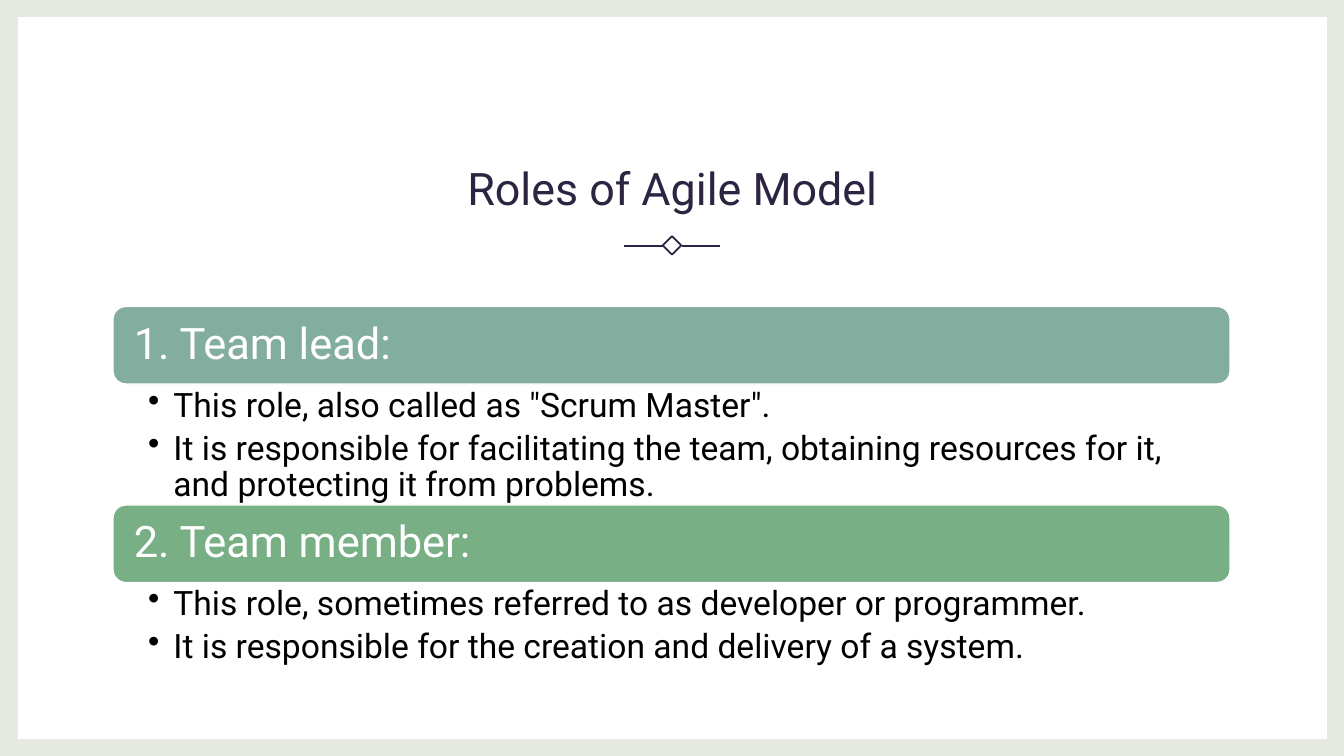
from dataclasses import dataclass

from lxml.etree import SubElement
from pptx import Presentation
from pptx.dml.color import RGBColor
from pptx.enum.shapes import MSO_CONNECTOR, MSO_SHAPE
from pptx.enum.text import MSO_ANCHOR, PP_ALIGN
from pptx.oxml.ns import qn
from pptx.util import Inches, Pt


@dataclass(frozen=True)
class Theme:
    font: str = "Roboto"
    frame: str = "E6E8E2"
    paper: str = "FFFFFF"
    ink: str = "2D2441"
    body: str = "000000"
    lead: str = "83AD9E"
    member: str = "78AF85"
    title_size: float = 32
    header_size: float = 31
    body_size: float = 24
    rule_width: float = 1.25


THEME = Theme()


@dataclass(frozen=True)
class Role:
    header: str
    color: str
    top: float
    details_height: float
    details: tuple[str, ...]


ROLES = (
    Role("1. Team lead:", THEME.lead, 3.04, 1.19, (
        'This role, also called as "Scrum Master".',
        "It is responsible for facilitating the team, obtaining resources for it, "
        "and protecting it from problems.",
    )),
    Role("2. Team member:", THEME.member, 5.01, 0.84, (
        "This role, sometimes referred to as developer or programmer.",
        "It is responsible for the creation and delivery of a system.",
    )),
)
SLIDE_WIDTH, SLIDE_HEIGHT = 13.33, 7.5
ROLE_LEFT, ROLE_WIDTH, HEADER_HEIGHT = 1.12, 11.08, 0.77


def add_bullet(paragraph) -> None:
    """Give a paragraph a round bullet with a hanging indent."""
    properties = paragraph._p.get_or_add_pPr()
    properties.set("marL", str(Inches(0.25)))
    properties.set("indent", str(Inches(-0.25)))
    SubElement(properties, qn("a:buChar")).set("char", "•")


def write_text(shape, *lines: str, size: float, color: str,
               insets=(0.1, 0.05, 0.1, 0.05), anchor=MSO_ANCHOR.TOP,
               align=PP_ALIGN.LEFT, line_spacing: float = 0.9,
               space_after: float = 0, bullets: bool = False) -> None:
    frame = shape.text_frame
    frame.word_wrap = True
    frame.vertical_anchor = anchor
    (frame.margin_left, frame.margin_top,
     frame.margin_right, frame.margin_bottom) = map(Inches, insets)
    for index, line in enumerate(lines):
        paragraph = frame.add_paragraph() if index else frame.paragraphs[0]
        paragraph.alignment = align
        paragraph.line_spacing = line_spacing
        paragraph.space_after = Pt(space_after)
        if bullets:
            add_bullet(paragraph)
        run = paragraph.add_run()
        run.text = line
        run.font.name = THEME.font
        run.font.size = Pt(size)
        run.font.color.rgb = RGBColor.from_string(color)


def add_box(slide, kind, left: float, top: float, width: float, height: float,
            fill: str | None = None, line: str | None = None, line_width: float = 1):
    shape = slide.shapes.add_shape(kind, *map(Inches, (left, top, width, height)))
    shape.shadow.inherit = False
    if fill:
        shape.fill.solid()
        shape.fill.fore_color.rgb = RGBColor.from_string(fill)
    else:
        shape.fill.background()
    if line:
        shape.line.color.rgb = RGBColor.from_string(line)
        shape.line.width = Pt(line_width)
    else:
        shape.line.fill.background()
    return shape


def add_rule(slide, start: float, end: float, y: float) -> None:
    rule = slide.shapes.add_connector(
        MSO_CONNECTOR.STRAIGHT, *map(Inches, (start, y, end, y)))
    rule.line.color.rgb = RGBColor.from_string(THEME.ink)
    rule.line.width = Pt(THEME.rule_width)
    SubElement(rule._element.spPr, qn("a:effectLst"))


def add_ornament(slide) -> None:
    """Draw the diamond between two short rules."""
    diamond = add_box(slide, MSO_SHAPE.RECTANGLE, 6.6, 2.37, 0.13, 0.13,
                      line=THEME.ink, line_width=THEME.rule_width)
    diamond.rotation = 45
    for start, end in ((6.19, 6.58), (6.76, 7.14)):
        add_rule(slide, start, end, 2.44)


def add_role(slide, role: Role) -> None:
    header = add_box(slide, MSO_SHAPE.ROUNDED_RECTANGLE, ROLE_LEFT, role.top,
                     ROLE_WIDTH, HEADER_HEIGHT, role.color, THEME.paper)
    write_text(header, role.header, size=THEME.header_size, color=THEME.paper,
               insets=(0.17, 0.13, 0.17, 0.13), anchor=MSO_ANCHOR.MIDDLE)
    details = slide.shapes.add_textbox(*map(Inches, (
        ROLE_LEFT, role.top + HEADER_HEIGHT, ROLE_WIDTH, role.details_height)))
    write_text(details, *role.details, size=THEME.body_size, color=THEME.body,
               insets=(0.35, 0.04, 0.24, 0.04), space_after=4.8, bullets=True)


def main() -> None:
    presentation = Presentation()
    presentation.slide_width = Inches(SLIDE_WIDTH)
    presentation.slide_height = Inches(SLIDE_HEIGHT)
    slide = presentation.slides.add_slide(presentation.slide_layouts[6])

    # Frame and white panel
    add_box(slide, MSO_SHAPE.RECTANGLE, 0, 0, SLIDE_WIDTH, SLIDE_HEIGHT, THEME.frame)
    add_box(slide, MSO_SHAPE.RECTANGLE, 0.18, 0.17, 12.98, 7.16, THEME.paper)

    # Title and ornament
    title = slide.shapes.add_textbox(*map(Inches, (1.13, 1.05, 11.08, 1.13)))
    write_text(title, "Roles of Agile Model", size=THEME.title_size, color=THEME.ink,
               anchor=MSO_ANCHOR.BOTTOM, align=PP_ALIGN.CENTER, line_spacing=1.1)
    add_ornament(slide)

    # Roles
    for role in ROLES:
        add_role(slide, role)

    presentation.save("out.pptx")


if __name__ == "__main__":
    main()
